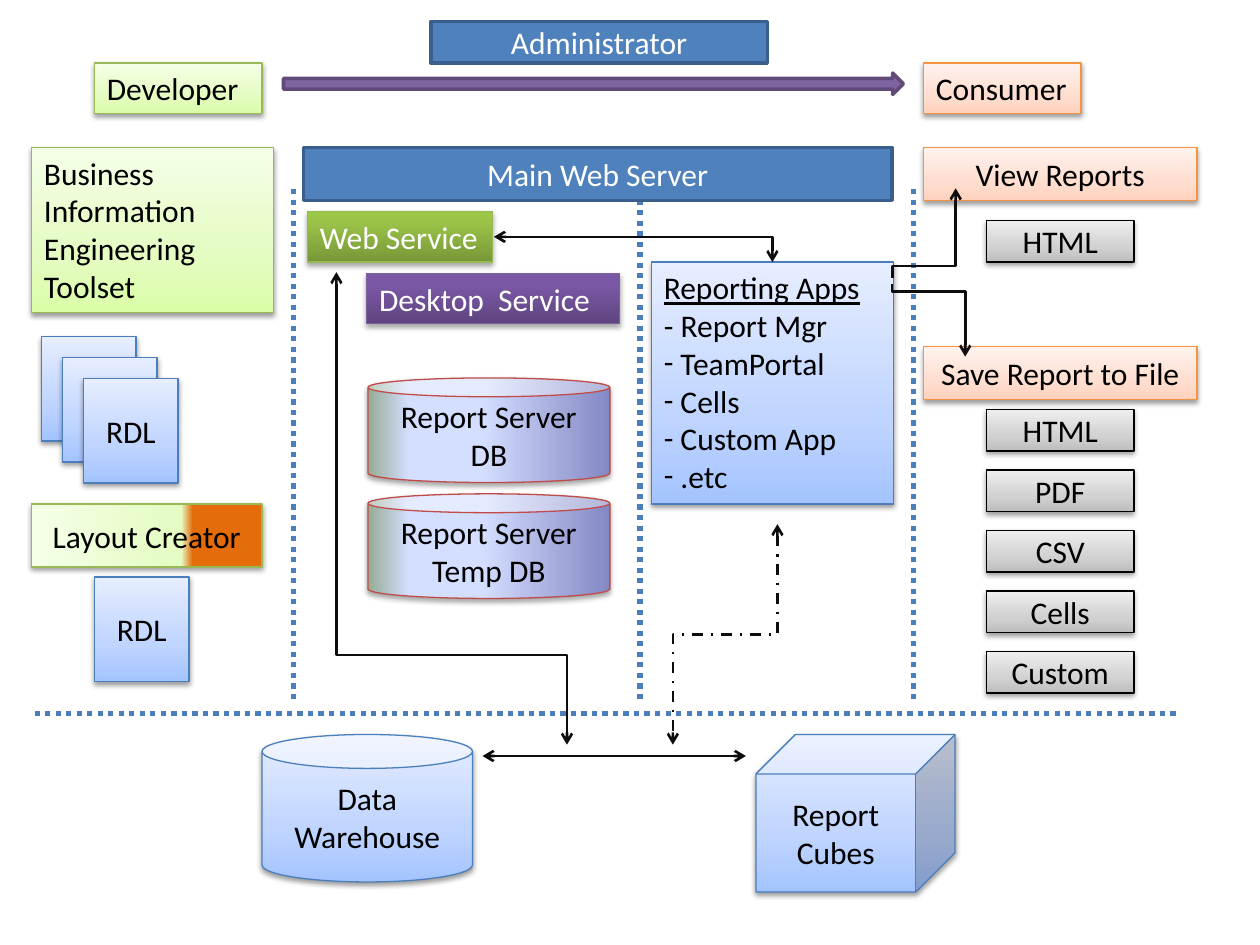
from dataclasses import dataclass

from lxml import etree
from pptx import Presentation
from pptx.dml.color import RGBColor
from pptx.enum.dml import MSO_LINE
from pptx.enum.shapes import MSO_CONNECTOR, MSO_SHAPE
from pptx.enum.text import MSO_ANCHOR, MSO_AUTO_SIZE, PP_ALIGN
from pptx.oxml.ns import qn
from pptx.util import Inches, Pt

RECTANGLE, CAN, CUBE = MSO_SHAPE.RECTANGLE, MSO_SHAPE.CAN, MSO_SHAPE.CUBE
RIGHT_ARROW = MSO_SHAPE.RIGHT_ARROW
STRAIGHT, ELBOW = MSO_CONNECTOR.STRAIGHT, MSO_CONNECTOR.ELBOW
DOTTED, DASH_DOT = MSO_LINE.ROUND_DOT, MSO_LINE.DASH_DOT
TOP, MIDDLE = MSO_ANCHOR.TOP, MSO_ANCHOR.MIDDLE
LEFT, CENTER = PP_ALIGN.LEFT, PP_ALIGN.CENTER
FIT_SHAPE, NO_FIT = MSO_AUTO_SIZE.SHAPE_TO_FIT_TEXT, MSO_AUTO_SIZE.NONE


@dataclass(frozen=True)
class Style:
    stops: tuple
    line: str
    text: str = "000000"
    angle: int = 90
    width: float = 0.75
    shadow: tuple = (38, 1.6)


@dataclass(frozen=True)
class Theme:
    font: str = "Calibri"
    size: int = 18
    divider: str = "4B7EBC"
    flow: str = "0D0D0D"
    shadow: str = "000000"
    green: Style = Style(((0, "DAFDA7"), (35, "E4FCC2"), (100, "F5FFE7")), "98B955")
    orange: Style = Style(((0, "FFD2BD"), (35, "FFDED0"), (100, "FFF2ED")), "F69240")
    blue: Style = Style(((0, "A4C4FF"), (35, "BFD4FF"), (100, "E6EEFF")), "4B7EBC")
    gray: Style = Style(((0, "BDBDBD"), (35, "D1D1D1"), (100, "EEEEEE")), "000000")
    web: Style = Style(((0, "779737"), (80, "9BC348"), (100, "9DC746")),
                       "98B955", "FFFFFF", shadow=(35, 1.8))
    service: Style = Style(((0, "5F4480"), (80, "7B58A6"), (100, "7C57A8")),
                           "7D60A0", "FFFFFF", shadow=(35, 1.8))
    database: Style = Style(((0, "8488C4"), (53, "D4DEFF"), (83, "D4DEFF"), (100, "96AB94")),
                            "BF4C48", angle=180, shadow=(35, 1.8))
    designer: Style = Style(((30, "E46C0A"), (35, "E4FCC2"), (100, "F5FFE7")), "98B955", angle=180)
    banner: Style = Style(((0, "4F81BD"),), "3A5F8C", "FFFFFF", width=2, shadow=())
    arrow: Style = Style(((0, "8064A2"),), "5F4A78", width=2, shadow=())


THEME = Theme()


def add_child(parent, tag, **attributes):
    return etree.SubElement(parent, qn(tag), {key: str(value) for key, value in attributes.items()})


def paint(shape, style):
    if len(style.stops) == 1:
        shape.fill.solid()
        shape.fill.fore_color.rgb = RGBColor.from_string(style.stops[0][1])
    else:
        shape.fill.gradient()
        shape.fill.gradient_angle = style.angle
        stop_list = next(shape.element.spPr.iter(qn("a:gsLst")))
        for stop in list(stop_list):
            stop_list.remove(stop)
        for position, color in style.stops:
            stop = add_child(stop_list, "a:gs", pos=position * 1000)
            add_child(stop, "a:srgbClr", val=color)
    shape.line.color.rgb = RGBColor.from_string(style.line)
    shape.line.width = Pt(style.width)
    shape.shadow.inherit = False
    if style.shadow:
        opacity, distance = style.shadow
        effects = shape.element.spPr.find(qn("a:effectLst"))
        shadow = add_child(effects, "a:outerShdw", blurRad=Pt(3.1), dist=Pt(distance),
                           dir=90 * 60000, rotWithShape=0)
        color = add_child(shadow, "a:srgbClr", val=THEME.shadow)
        add_child(color, "a:alpha", val=opacity * 1000)


def add_block(slide, box, style, lines=(), kind=RECTANGLE, adjustment=None, label=False, wrap=True):
    shape = slide.shapes.add_shape(kind, *map(Inches, box))
    if adjustment is not None:
        shape.adjustments[0] = adjustment
    paint(shape, style)
    frame = shape.text_frame
    frame_format = {"word_wrap": wrap, "auto_size": FIT_SHAPE if label else NO_FIT,
                    "vertical_anchor": TOP if label else MIDDLE}
    for name, value in frame_format.items():
        setattr(frame, name, value)
    font_format = {"name": THEME.font, "size": Pt(THEME.size)}
    for index, line in enumerate(lines):
        paragraph = frame.paragraphs[0] if index == 0 else frame.add_paragraph()
        paragraph.alignment = LEFT if label else CENTER
        run = paragraph.add_run()
        run.text = line
        for name, value in font_format.items():
            setattr(run.font, name, value)
        run.font.color.rgb = RGBColor.from_string(style.text)
    return shape


def add_line(slide, start, end, color, width, dash=None, head=False, tail=False, kind=STRAIGHT):
    connector = slide.shapes.add_connector(kind, *map(Inches, (*start, *end)))
    connector.line.color.rgb = RGBColor.from_string(color)
    connector.line.width = Pt(width)
    if dash is not None:
        connector.line.dash_style = dash
    properties = connector.element.spPr
    line = properties.get_or_add_ln()
    for tag, shown in (("a:headEnd", head), ("a:tailEnd", tail)):
        if shown:
            add_child(line, tag, type="arrow")
    add_child(properties, "a:effectLst")
    return connector


def add_elbow(slide, start, end, rotation=0, bend=None, **ends):
    connector = add_line(slide, start, end, THEME.flow, 1.5, kind=ELBOW, **ends)
    properties = connector.element.spPr
    geometry = properties.find(qn("a:prstGeom"))
    if rotation:
        properties.find(qn("a:xfrm")).set("rot", str(rotation * 60000))
    if bend is None:
        geometry.set("prst", "bentConnector2")
    else:
        guides = geometry.find(qn("a:avLst"))
        add_child(guides, "a:gd", name="adj1", fmla=f"val {round(bend * 100000)}")


def add_dividers(slide, left, top, right, bottom):
    for offset in (2.08, 4.83, 7):
        add_line(slide, (left + offset, top), (left + offset, bottom - 0.08), THEME.divider, 3, DOTTED)
    add_line(slide, (right, bottom), (left, bottom), THEME.divider, 3, DOTTED)


def add_roles(slide, left, top):
    add_block(slide, (left, top + 0.33, 1.33, 0.4), THEME.green, ["Developer"], label=True)
    add_block(slide, (left + 1.5, top + 0.41, 4.92, 0.17), THEME.arrow, kind=RIGHT_ARROW)
    add_block(slide, (left + 2.67, top, 2.67, 0.33), THEME.banner, ["Administrator"])
    add_block(slide, (left + 6.58, top + 0.33, 1.25, 0.4), THEME.orange, ["Consumer"],
              label=True, wrap=False)


def add_developer_column(slide, left, top):
    add_block(slide, (left, top, 1.92, 1.31), THEME.green,
              ["Business Information Engineering  Toolset"], label=True)
    for index in range(3):
        shift = index / 6
        add_block(slide, (left + 0.08 + shift, top + 1.5 + shift, 0.75, 0.83), THEME.blue, ["RDL"])
    add_block(slide, (left, top + 2.83, 1.83, 0.5), THEME.designer, ["Layout Creator"])
    add_block(slide, (left + 0.5, top + 3.41, 0.75, 0.83), THEME.blue, ["RDL"])


def add_server_column(slide, left, top):
    add_block(slide, (left, top, 4.67, 0.42), THEME.banner, ["Main Web Server"])
    add_block(slide, (left + 0.03, top + 0.51, 1.47, 0.4), THEME.web, ["Web Service"],
              label=True, wrap=False)
    add_block(slide, (left + 0.5, top + 1, 2.01, 0.4), THEME.service, ["Desktop  Service"],
              label=True, wrap=False)
    for index, name in enumerate(("Report Server DB", "Report Server Temp DB")):
        add_block(slide, (left + 0.51, top + 1.83 + index * 0.92, 1.92, 0.83), THEME.database,
                  [name], CAN, 0.18)
    lines = ["Reporting Apps", "- Report Mgr", " TeamPortal", " Cells", " Custom App", " .etc"]
    apps = add_block(slide, (left + 2.76, top + 0.91, 1.92, 1.92), THEME.blue, lines, label=True)
    paragraphs = apps.text_frame.paragraphs
    paragraphs[0].runs[0].font.underline = True
    for paragraph in paragraphs[2:]:
        properties = paragraph._p.get_or_add_pPr()
        add_child(properties, "a:buFont", typeface=THEME.font)
        add_child(properties, "a:buChar", char="-")


def add_consumer_column(slide, left, top):
    groups = ((0, 0.58, ["View Reports", "HTML"]),
              (1.58, 0.5, ["Save Report to File", "HTML", "PDF", "CSV", "Cells", "Custom"]))
    for offset, first, (title, *formats) in groups:
        add_block(slide, (left, top + offset, 2.17, 0.42), THEME.orange, [title])
        for index, name in enumerate(formats):
            box = (left + 0.5, top + offset + first + index * 0.48, 1.17, 0.33)
            add_block(slide, box, THEME.gray, [name])


def add_storage(slide, left, top):
    add_block(slide, (left, top, 1.67, 1.17), THEME.blue, ["Data Warehouse"], CAN, 0.23)
    add_block(slide, (left + 3.92, top, 1.58, 1.25), THEME.blue, ["Report Cubes"], CUBE)
    add_line(slide, (left + 1.75, top + 0.17), (left + 3.84, top + 0.17), THEME.flow, 1.5,
             head=True, tail=True)


def add_flows(slide, left, top):
    flows = (
        ((3.05, 1.95), (-0.7, 3.78), 270, 0.81, {"head": True, "tail": True}),
        ((2.47, 3.45), (4.22, 4.28), 90, 0.5, {"head": True, "tail": True, "dash": DASH_DOT}),
        ((5.28, 0.93), (4.57, 0.43), 90, 0.13, {"tail": True}),
        ((5.25, 1.08), (4.67, 1.66), 270, 0.11, {"tail": True}),
        ((1.51, 0.71), (3.72, 0.91), 0, None, {"head": True, "tail": True}),
    )
    for (start_x, start_y), (end_x, end_y), rotation, bend, ends in flows:
        add_elbow(slide, (left + start_x, top + start_y), (left + end_x, top + end_y),
                  rotation, bend, **ends)


def main():
    presentation = Presentation()
    presentation.slide_width, presentation.slide_height = Inches(10), Inches(7.5)
    slide = presentation.slides.add_slide(presentation.slide_layouts[6])
    add_dividers(slide, 0.25, 1.5, 9.33, 5.66)
    add_roles(slide, 0.75, 0.17)
    add_developer_column(slide, 0.25, 1.17)
    add_server_column(slide, 2.41, 1.17)
    add_consumer_column(slide, 7.33, 1.17)
    add_storage(slide, 2.08, 5.83)
    add_flows(slide, 2.41, 1.17)
    presentation.save("out.pptx")


if __name__ == "__main__":
    main()
